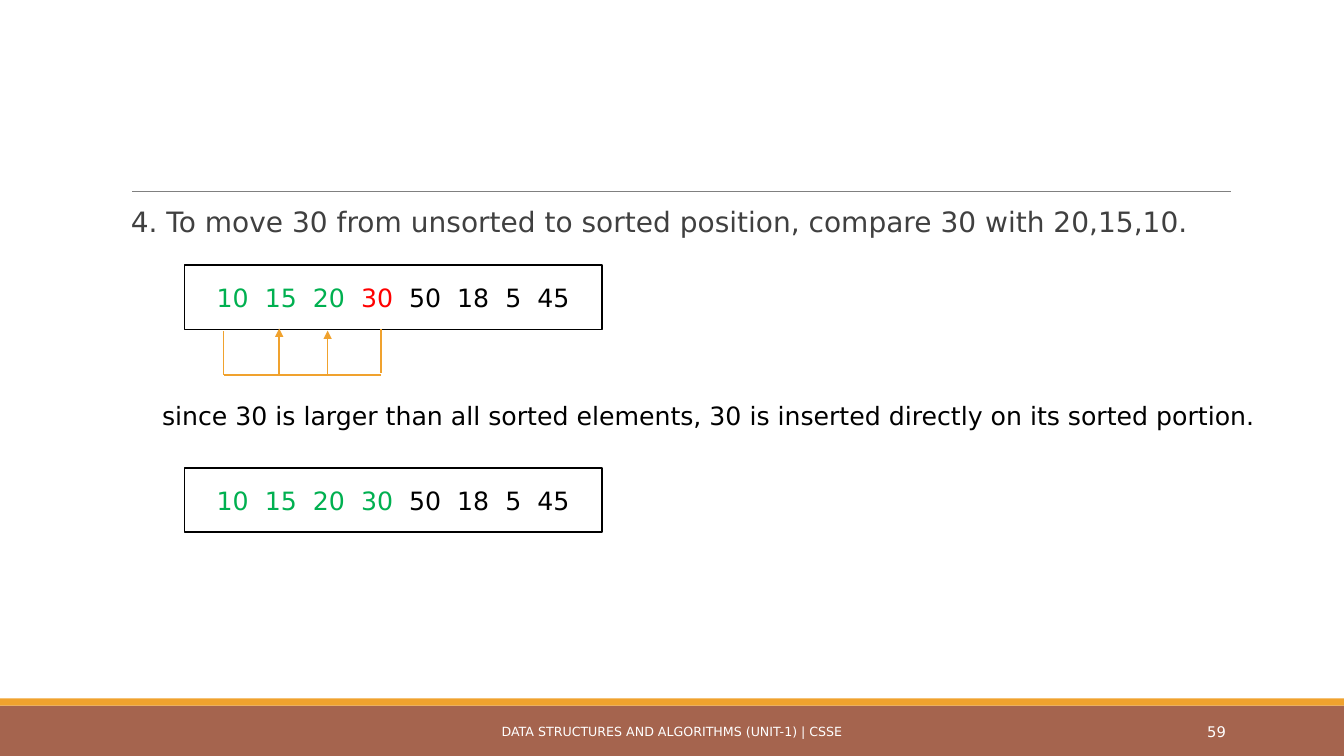
from lxml import etree
from pptx import Presentation
from pptx.dml.color import RGBColor
from pptx.enum import shapes, text
from pptx.oxml import ns
from pptx.util import Pt

# Content
FONT = "DejaVu Sans"
BLACK, WHITE, GREY = "000000", "FFFFFF", "404040"
GREEN, RED, GOLD, BROWN = "00B050", "FF0000", "F0A22E", "A5644E"
LEFT, MID, RIGHT = text.PP_ALIGN.LEFT, text.PP_ALIGN.CENTER, text.PP_ALIGN.RIGHT

STEP = "4. To move 30 from unsorted to sorted position, compare 30 with 20,15,10."
REASON = ("since 30 is larger than all sorted elements, "
          "30 is inserted directly on its sorted portion.")
COURSE = "DATA STRUCTURES AND ALGORITHMS (UNIT-1) | CSSE"
PAGE = "59"
VALUES = [10, 15, 20, 30, 50, 18, 5, 45]
# top of the box, colours of its values
STATES = [
    (189.36, [GREEN] * 3 + [RED] + [BLACK] * 4),
    (334.08, [GREEN] * 4 + [BLACK] * 4),
]
# x, top, bottom, arrowhead at the top
STEMS = [
    (272.16, 234.72, 266.4, False),
    (159.84, 236.16, 267.84, False),
    (199.44, 234.72, 267.84, True),
    (234, 236.16, 268.56, True),
]
BASE = 267.84
GAP = 5.72  # extra width of the space between two values

deck = Presentation()
deck.slide_width, deck.slide_height = Pt(960), Pt(540)
slide = deck.slides.add_slide(deck.slide_layouts[6])


def paint(hue):
    return RGBColor.from_string(hue)


def style(run, size, hue):
    run.font.name, run.font.size = FONT, Pt(size)
    run.font.color.rgb = paint(hue)


def rect(x, y, w, h, fill, edge=None):
    box = slide.shapes.add_shape(
        shapes.MSO_SHAPE.RECTANGLE, Pt(x), Pt(y), Pt(w), Pt(h))
    box.shadow.inherit = False
    box.fill.solid()
    box.fill.fore_color.rgb = paint(fill)
    if edge:
        box.line.color.rgb = paint(edge)
        box.line.width = Pt(1.25)
    else:
        box.line.fill.background()
    return box


def line(x1, y1, x2, y2, hue, width, arrow=False):
    link = slide.shapes.add_connector(
        shapes.MSO_CONNECTOR.STRAIGHT, Pt(x1), Pt(y1), Pt(x2), Pt(y2))
    link.line.color.rgb = paint(hue)
    link.line.width = Pt(width)
    if arrow:
        tail = etree.SubElement(link.line._get_or_add_ln(), ns.qn("a:tailEnd"))
        tail.set("type", "triangle")
    etree.SubElement(link._element.spPr, ns.qn("a:effectLst"))


def label(words, x, y, w, h, size, hue, align=LEFT, anchor=text.MSO_ANCHOR.MIDDLE):
    frame = slide.shapes.add_textbox(Pt(x), Pt(y), Pt(w), Pt(h)).text_frame
    frame.word_wrap = True
    frame.vertical_anchor = anchor
    frame.text = words
    para = frame.paragraphs[0]
    para.alignment = align
    style(para.runs[0], size, hue)
    return para


def array(y, hues):
    frame = rect(131.76, y, 298.08, 46.08, WHITE, BLACK).text_frame
    frame.vertical_anchor = text.MSO_ANCHOR.MIDDLE
    para = frame.paragraphs[0]
    para.alignment = MID
    for i, (value, hue) in enumerate(zip(VALUES, hues)):
        if i:
            space = para.add_run()
            space.text = " "
            style(space, 18, hue)
            space._r.get_or_add_rPr().set("spc", str(round(GAP * 100)))
        run = para.add_run()
        run.text = str(value)
        style(run, 18, hue)


# Footer bands and rule
rect(0, 504, 960, 36, BROWN)
rect(0, 498.96, 960, 5.04, GOLD)
line(94.32, 136.8, 879.12, 136.8, "808080", 0.5)

# Step and reason
step = label(STEP, 86.4, 145.44, 792, 316.8, 20, GREY, anchor=text.MSO_ANCHOR.TOP)
step.line_spacing = 0.9
step.space_before, step.space_after = Pt(12), Pt(2)
label(REASON, 108.72, 282.24, 806.4, 28.8, 18, BLACK, anchor=text.MSO_ANCHOR.TOP)

# Footer text
label(COURSE, 290.16, 508.32, 379.44, 28.8, 9, WHITE, MID)
label(PAGE, 779.76, 508.32, 102.96, 28.8, 10.5, WHITE, RIGHT)

# Array before and after the insertion
for top, hues in STATES:
    array(top, hues)

# Comparison bracket
line(STEMS[0][0], BASE, STEMS[1][0], BASE, GOLD, 1)
for x, top, foot, arrow in STEMS:
    line(x, foot, x, top, GOLD, 1, arrow)

deck.save("out.pptx")
